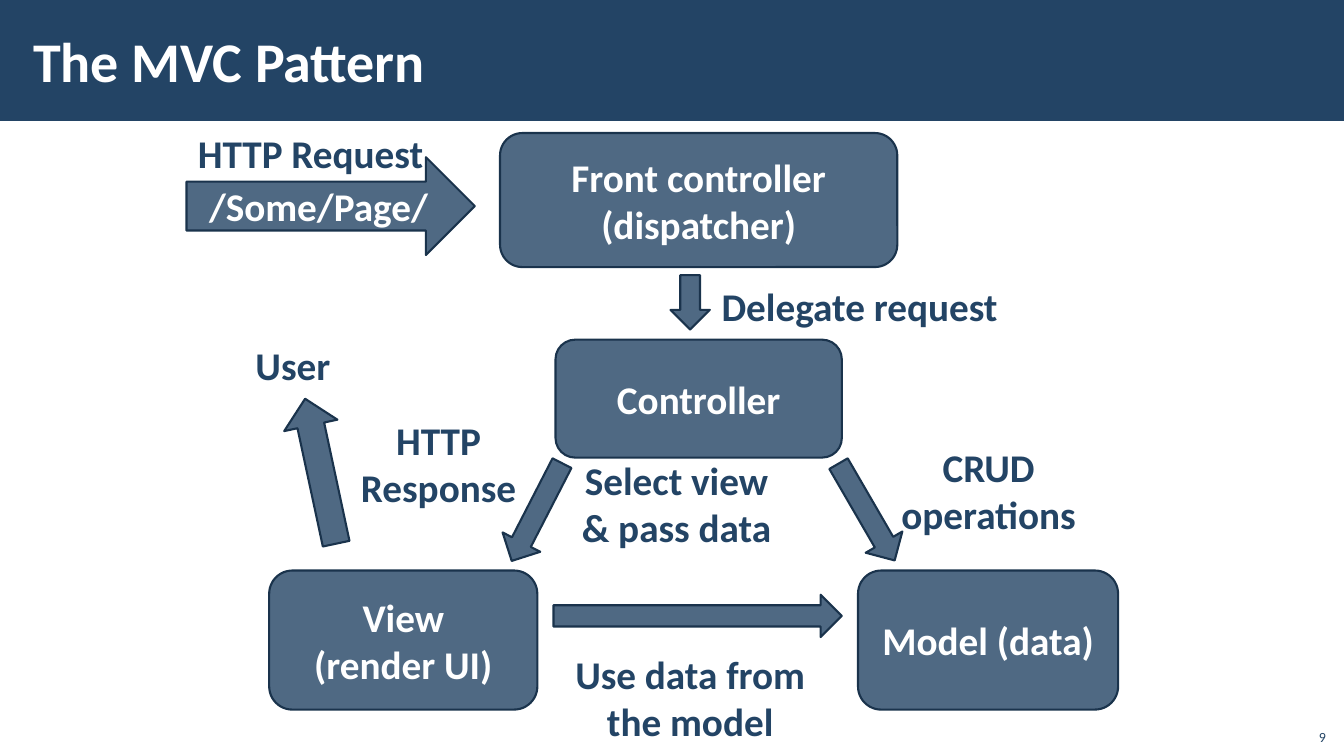
from dataclasses import dataclass

from lxml.etree import SubElement
from pptx import Presentation
from pptx.dml.color import RGBColor
from pptx.enum.shapes import MSO_SHAPE
from pptx.enum.text import MSO_ANCHOR, PP_ALIGN
from pptx.oxml.ns import qn
from pptx.slide import Slide
from pptx.text.text import TextFrame
from pptx.util import Inches, Pt

COLORS = {"navy": "234465", "edge": "1A334C", "white": "FFFFFF"}
FONT = "Calibri"


@dataclass
class Block:
    kind: MSO_SHAPE
    left: float
    top: float
    width: float
    height: float
    text: str = ""
    turn: float = 0


@dataclass
class Label:
    text: str
    left: float
    top: float
    width: float
    height: float
    size: int = 28
    bold: bool = True
    color: str = "navy"
    align: PP_ALIGN = PP_ALIGN.CENTER
    anchor: MSO_ANCHOR = MSO_ANCHOR.TOP
    wrap: bool = False
    inset: float = 0.1


BLOCKS = [
    Block(MSO_SHAPE.RIGHT_ARROW, 1.85, 1.56, 2.86, 0.97, "/Some/Page/"),
    Block(MSO_SHAPE.ROUNDED_RECTANGLE, 5.51, 3.37, 2.84, 1.17, "Controller"),
    Block(MSO_SHAPE.ROUNDED_RECTANGLE, 4.96, 1.32, 3.94, 1.33, "Front controller (dispatcher)"),
    Block(MSO_SHAPE.DOWN_ARROW, 6.65, 2.73, 0.39, 0.54),
    Block(MSO_SHAPE.ROUNDED_RECTANGLE, 8.51, 5.66, 2.58, 1.38, "Model (data)"),
    Block(MSO_SHAPE.ROUNDED_RECTANGLE, 2.67, 5.66, 2.66, 1.38, "View\n(render UI)"),
    Block(MSO_SHAPE.RIGHT_ARROW, 5.49, 5.9, 2.86, 0.42),
    Block(MSO_SHAPE.LEFT_ARROW, 8.04, 4.87, 1.11, 0.42, turn=239.9),
    Block(MSO_SHAPE.LEFT_ARROW, 4.78, 4.87, 1.09, 0.42, turn=297.2),
    Block(MSO_SHAPE.DOWN_ARROW, 2.91, 3.94, 0.54, 1.47, turn=167.9),
]

LABELS = [
    Label("The MVC Pattern", 0.21, 0.11, 10.63, 0.97, size=40, color="white",
          align=PP_ALIGN.LEFT, anchor=MSO_ANCHOR.MIDDLE, wrap=True, inset=0.12),
    Label("HTTP Request", 1.85, 1.23, 2.46, 0.57),
    Label("User", 2.43, 3.34, 0.95, 0.57),
    Label("HTTP\vResponse", 3.47, 4.08, 1.76, 1.04),
    Label("Delegate request", 7.04, 2.75, 2.97, 0.57),
    Label("Select view\v& pass data", 5.66, 4.48, 2.1, 1.04),
    Label("Use data from\nthe model", 5.59, 6.4, 2.51, 1.04),
    Label("CRUD\voperations", 8.83, 4.35, 1.95, 1.04),
    Label("9", 12.85, 7.12, 0.4, 0.32, size=10, bold=False,
          align=PP_ALIGN.RIGHT, anchor=MSO_ANCHOR.BOTTOM, wrap=True),
]


def paint(name: str) -> RGBColor:
    return RGBColor.from_string(COLORS[name])


def write(frame: TextFrame, text: str, size: int, color: str, bold: bool, align: PP_ALIGN) -> None:
    frame.text = text
    for para in frame.paragraphs:
        para.alignment = align
        for run in para.runs:
            run.font.name = FONT
            run.font.size = Pt(size)
            run.font.bold = bold
            run.font.color.rgb = paint(color)


def draw_band(slide: Slide) -> None:
    band = slide.shapes.add_shape(MSO_SHAPE.RECTANGLE, 0, 0, Inches(13.33), Inches(1.2))
    band.shadow.inherit = False
    band.fill.solid()
    band.fill.fore_color.rgb = paint("navy")
    band.line.fill.background()


def draw_block(slide: Slide, block: Block) -> None:
    shape = slide.shapes.add_shape(block.kind, Inches(block.left), Inches(block.top),
                                   Inches(block.width), Inches(block.height))
    shape.rotation = block.turn
    shape.shadow.inherit = False
    shape.fill.solid()
    shape.fill.fore_color.rgb = paint("navy")
    tint = shape.fill._xPr.find(qn("a:solidFill"))[0]
    SubElement(tint, qn("a:alpha")).set("val", "80000")
    shape.line.color.rgb = paint("edge")
    shape.line.width = Pt(1.5)
    if block.text:
        shape.text_frame.vertical_anchor = MSO_ANCHOR.MIDDLE
        write(shape.text_frame, block.text, 28, "white", True, PP_ALIGN.CENTER)


def draw_label(slide: Slide, label: Label) -> None:
    box = slide.shapes.add_textbox(Inches(label.left), Inches(label.top),
                                   Inches(label.width), Inches(label.height))
    frame = box.text_frame
    frame.word_wrap = label.wrap
    frame.vertical_anchor = label.anchor
    frame.margin_left = frame.margin_right = Inches(label.inset)
    write(frame, label.text, label.size, label.color, label.bold, label.align)


def main() -> None:
    """Build the MVC pattern slide and save it."""
    deck = Presentation()
    deck.slide_width, deck.slide_height = Inches(13.33), Inches(7.5)
    slide = deck.slides.add_slide(deck.slide_layouts[6])
    draw_band(slide)
    for block in BLOCKS:
        draw_block(slide, block)
    for label in LABELS:
        draw_label(slide, label)
    deck.save("out.pptx")


if __name__ == "__main__":
    main()
